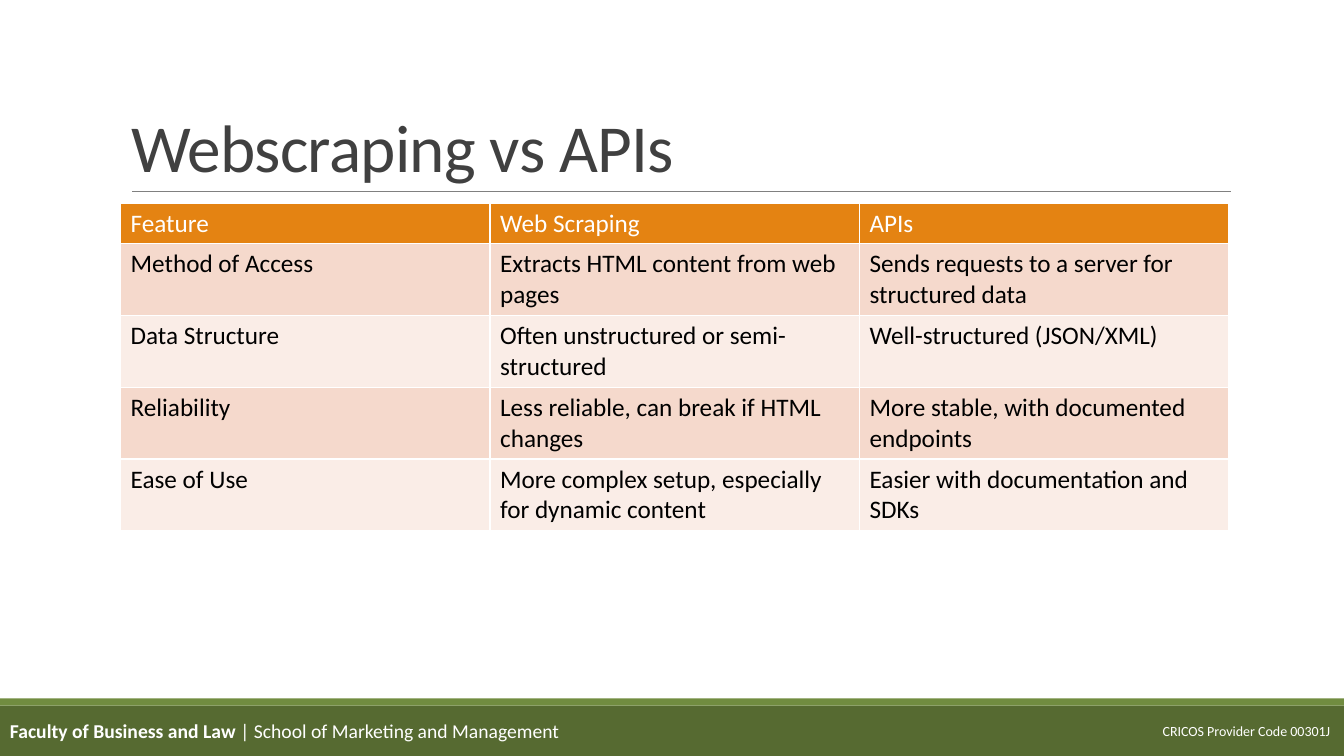
from lxml import etree
from pptx import Presentation
from pptx.dml.color import RGBColor
from pptx.enum.shapes import MSO_CONNECTOR, MSO_SHAPE
from pptx.enum.text import MSO_ANCHOR, MSO_AUTO_SIZE, PP_ALIGN
from pptx.oxml.ns import qn
from pptx.util import Cm, Pt

LINE, RECT = MSO_CONNECTOR.STRAIGHT, MSO_SHAPE.RECTANGLE
TOP, MIDDLE, BOTTOM = MSO_ANCHOR.TOP, MSO_ANCHOR.MIDDLE, MSO_ANCHOR.BOTTOM
NO_FIT, GROW = MSO_AUTO_SIZE.NONE, MSO_AUTO_SIZE.SHAPE_TO_FIT_TEXT
LEFT = PP_ALIGN.LEFT

WHITE = RGBColor(0xFF, 0xFF, 0xFF)
BLACK = RGBColor(0x00, 0x00, 0x00)
CHARCOAL = RGBColor(0x40, 0x40, 0x40)
GREY = RGBColor(0x80, 0x80, 0x80)
DARK_GREEN = RGBColor(0x56, 0x6A, 0x31)
GREEN = RGBColor(0x71, 0x8C, 0x40)
ORANGE = RGBColor(0xE4, 0x83, 0x12)
BANDS = RGBColor(0xF5, 0xD9, 0xCC), RGBColor(0xFA, 0xED, 0xE7)

SLIDE_W, SLIDE_H = 33.87, 19.05

COMPARISON = [
    ("Feature", "Web Scraping", "APIs"),
    ("Method of Access", "Extracts HTML content from web pages",
     "Sends requests to a server for structured data"),
    ("Data Structure", "Often unstructured or semi-structured",
     "Well-structured (JSON/XML)"),
    ("Reliability", "Less reliable, can break if HTML changes",
     "More stable, with documented endpoints"),
    ("Ease of Use", "More complex setup, especially for dynamic content",
     "Easier with documentation and SDKs"),
]


class SlideBuilder:
    font = "Calibri"

    def __init__(self, prs):
        self.s = prs.slides.add_slide(prs.slide_layouts[5])

    def style(self, p, size, color):
        p.font.name, p.font.size = self.font, Pt(size)
        p.font.color.rgb = color

    def title(self, text, x, y, w, h):
        sp = self.s.shapes.title
        sp.left, sp.top, sp.width, sp.height = Cm(x), Cm(y), Cm(w), Cm(h)
        tf = sp.text_frame
        tf.auto_size, tf.vertical_anchor = NO_FIT, BOTTOM
        p = tf.paragraphs[0]
        p.alignment, p.line_spacing = LEFT, 0.85
        self.style(p, 48, CHARCOAL)
        r = p.add_run()
        r.text = text
        r.font._element.set("spc", "-50")

    def bar(self, x, y, w, h, color):
        sp = self.s.shapes.add_shape(RECT, Cm(x), Cm(y), Cm(w), Cm(h))
        sp.shadow.inherit = False
        sp.fill.solid()
        sp.fill.fore_color.rgb = color
        sp.line.fill.background()

    def rule(self, x1, x2, y):
        line = self.s.shapes.add_connector(LINE, Cm(x1), Cm(y), Cm(x2), Cm(y))
        line.line.color.rgb, line.line.width = GREY, Pt(0.5)
        etree.SubElement(line._element.spPr, qn("a:effectLst"))

    def text(self, runs, x, y, w, h, size, anchor=TOP, wrap=True, fit=NO_FIT):
        """Add a one-paragraph text box from (text, bold) pairs."""
        tf = self.s.shapes.add_textbox(Cm(x), Cm(y), Cm(w), Cm(h)).text_frame
        tf.word_wrap, tf.auto_size, tf.vertical_anchor = wrap, fit, anchor
        p = tf.paragraphs[0]
        self.style(p, size, WHITE)
        for text, bold in runs:
            r = p.add_run()
            r.text, r.font.bold = text, bold

    def table(self, rows, x, y, col_w, head_h, row_h):
        heights = [head_h] + [row_h] * (len(rows) - 1)
        cols = len(rows[0])
        table = self.s.shapes.add_table(
            len(rows), cols, Cm(x), Cm(y), Cm(col_w * cols), Cm(sum(heights))).table
        for col in table.columns:
            col.width = Cm(col_w)
        for i, (row, height) in enumerate(zip(rows, heights)):
            table.rows[i].height = Cm(height)
            for j, text in enumerate(row):
                self.cell(table.cell(i, j), text, header=i == 0,
                          fill=BANDS[(i - 1) % 2] if i else ORANGE)

    def cell(self, cell, text, header, fill):
        cell.text = text
        p = cell.text_frame.paragraphs[0]
        self.style(p, 18, WHITE if header else BLACK)
        p.font.bold = False
        cell.fill.solid()
        cell.fill.fore_color.rgb = fill
        tcPr = cell._tc.get_or_add_tcPr()
        for i, side in enumerate(("lnL", "lnR", "lnT", "lnB")):
            ln = etree.Element(qn(f"a:{side}"), w=str(Pt(1)))
            solid = etree.SubElement(ln, qn("a:solidFill"))
            etree.SubElement(solid, qn("a:srgbClr"), val=str(WHITE))
            tcPr.insert(i, ln)


def main():
    prs = Presentation()
    prs.slide_width, prs.slide_height = Cm(SLIDE_W), Cm(SLIDE_H)
    b = SlideBuilder(prs)
    b.bar(0, 17.78, SLIDE_W, 1.27, DARK_GREEN)
    b.rule(3.33, 31.01, 4.83)
    b.bar(0, 17.6, SLIDE_W, 0.18, GREEN)
    b.text([("CRICOS Provider Code 00301J", False)],
           29.05, 18.09, 4.82, 0.68, 10, wrap=False, fit=GROW)
    b.title("Webscraping vs APIs", 3.05, 0.79, 27.94, 4.04)
    b.table(COMPARISON, 3.04, 5.12, 9.31, 1.01, 1.81)
    b.text([("Faculty of Business and Law ", True),
            ("| School of Marketing and Management", False)],
           0, 17.91, 27.86, 1.02, 14, anchor=MIDDLE)
    prs.save("out.pptx")


if __name__ == "__main__":
    main()
